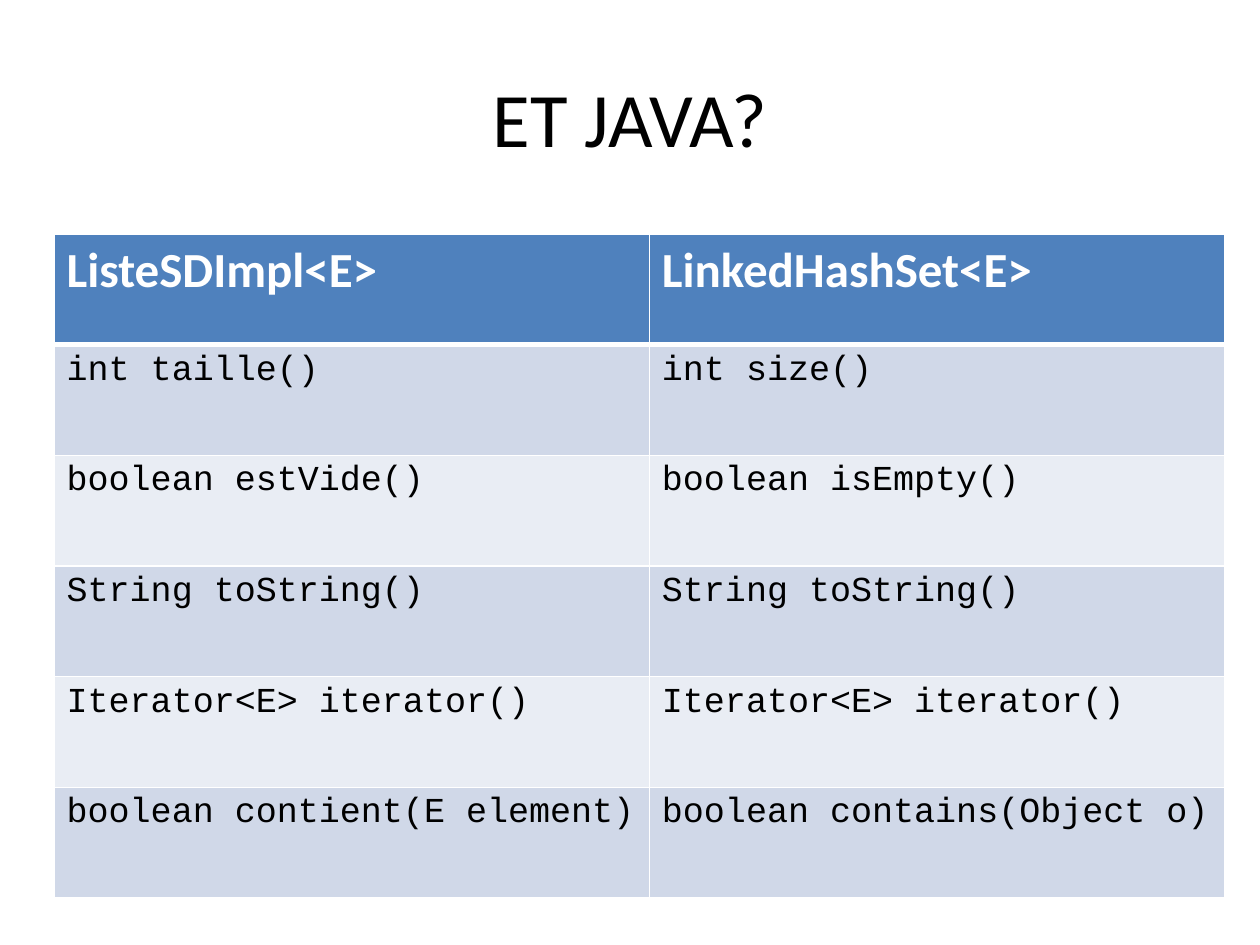
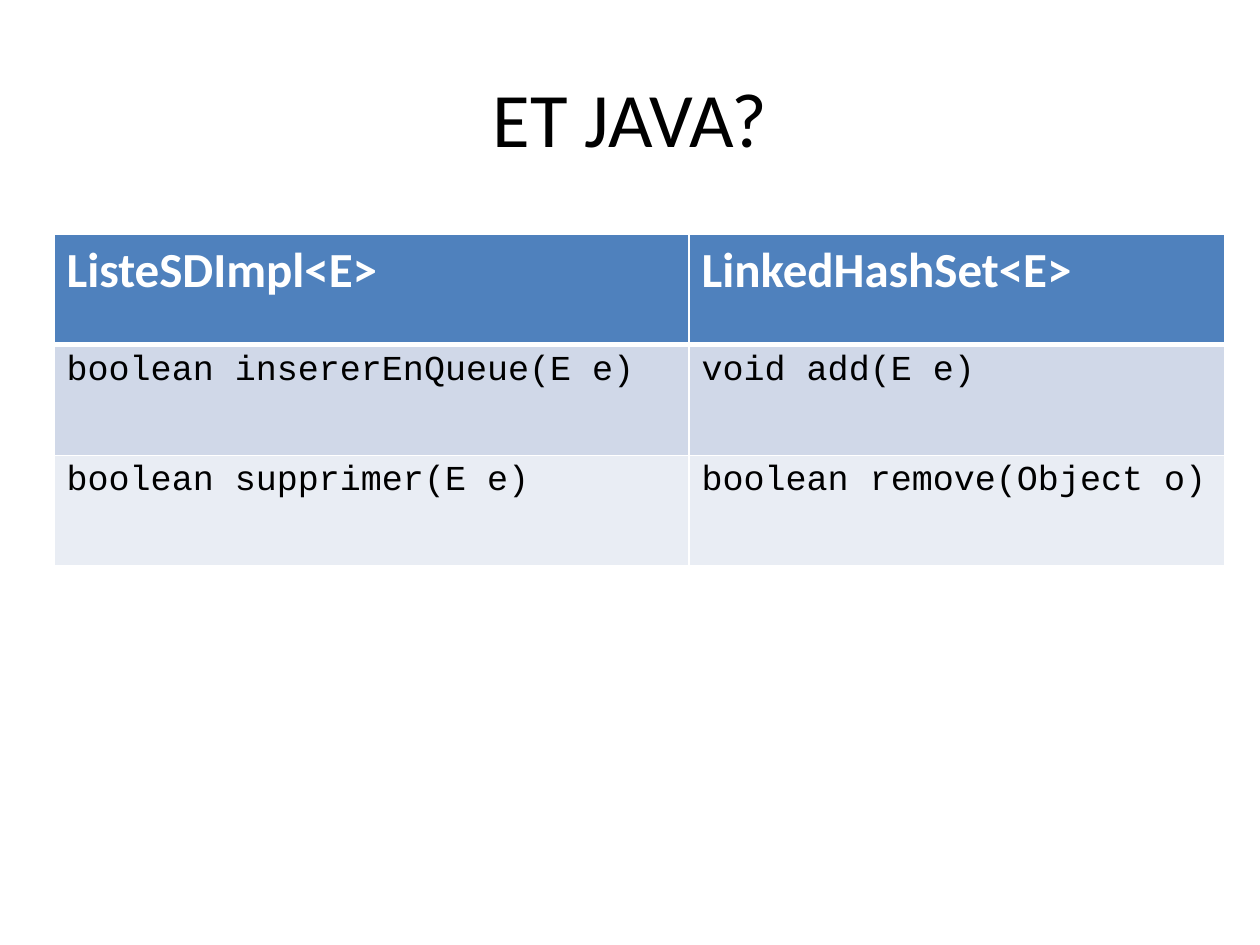
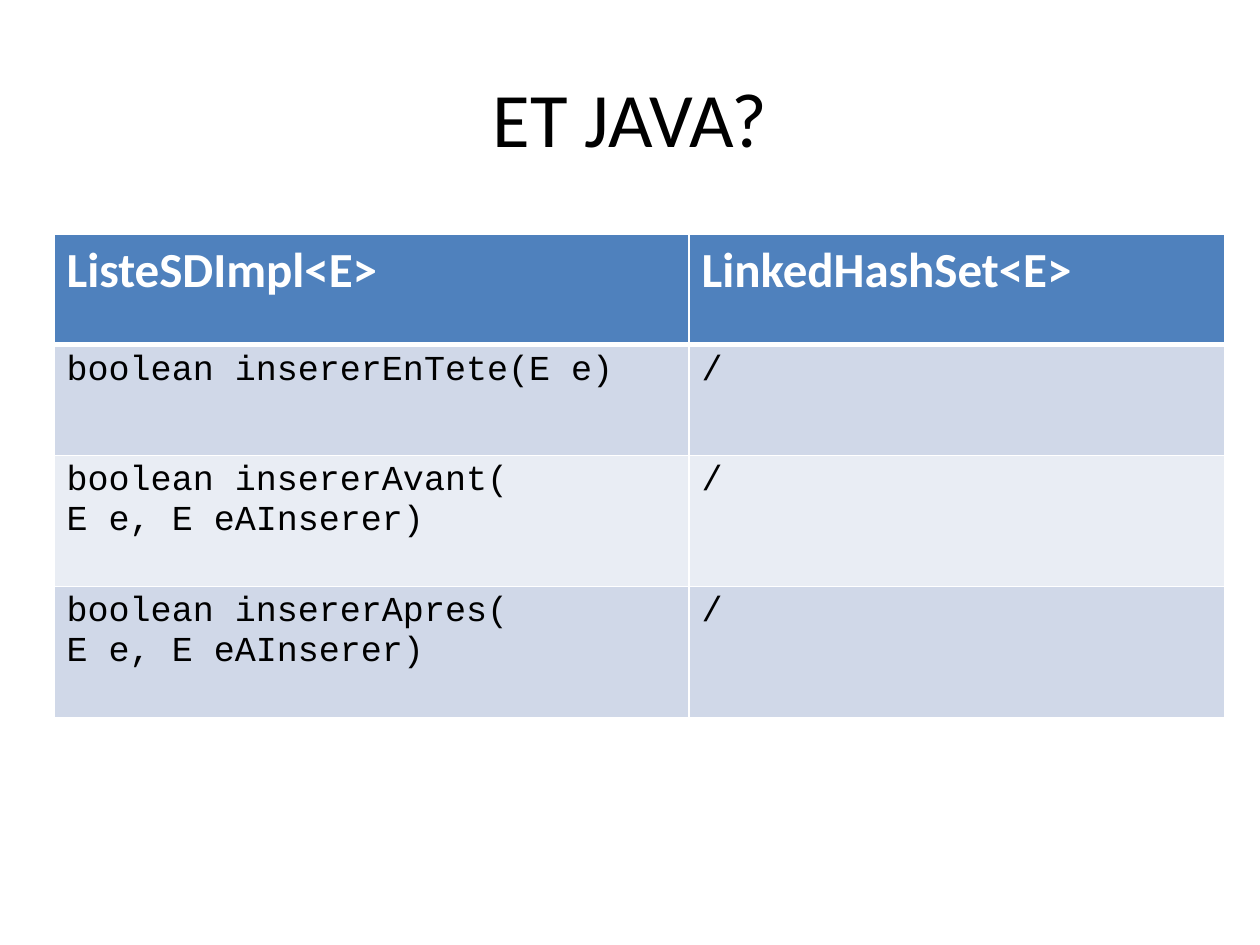
from lxml.etree import SubElement
from pptx import Presentation
from pptx.dml.color import RGBColor as RGB
from pptx.enum.text import MSO_ANCHOR as ANCHOR, PP_ALIGN as ALIGN
from pptx.oxml.ns import qn
from pptx.util import Cm, Pt

COLORS = {
    "text": "000000",
    "header": "4F81BD",
    "odd_row": "D0D8E8",
    "even_row": "E9EDF4",
    "white": "FFFFFF",
}
TITLE = "ET JAVA?"
HEADER = ("ListeSDImpl<E>", "LinkedHashSet<E>")
TABLE_LEFT, TABLE_TOP, TABLE_WIDTH = 1.09, 4.72, 23.6
ROW_HEIGHT, TWO_LINE_HEIGHT = 2.23, 2.64

# First column width and method pairs of each slide
COMPARISONS = [
    (12, [
        ("int taille()", "int size()"),
        ("boolean estVide()", "boolean isEmpty()"),
        ("String toString()", "String toString()"),
        ("Iterator<E> iterator()", "Iterator<E> iterator()"),
        ("boolean contient(E element)", "boolean contains(Object o)"),
    ]),
    (12.8, [
        ("boolean insererEnQueue(E e)", "void add(E e)"),
        ("boolean supprimer(E e)", "boolean remove(Object o)"),
    ]),
    (12.8, [
        ("boolean insererEnTete(E e)", "/"),
        ("boolean insererAvant(\nE e, E eAInserer)", "/"),
        ("boolean insererApres(\nE e, E eAInserer)", "/"),
    ]),
]


def style_text(frame, font_name, size, color, bold=False):
    for paragraph in frame.paragraphs:
        for run in paragraph.runs:
            run.font.name = font_name
            run.font.size = Pt(size)
            run.font.bold = bold
            run.font.color.rgb = RGB.from_string(COLORS[color])


def add_border(cell, side, width):
    line = SubElement(cell._tc.get_or_add_tcPr(), qn(f"a:ln{side}"), w=str(Pt(width)))
    fill = SubElement(line, qn("a:solidFill"))
    SubElement(fill, qn("a:srgbClr"), val=COLORS["white"])


prs = Presentation()
prs.slide_width, prs.slide_height = Cm(25.4), Cm(19.05)

for first_width, methods in COMPARISONS:
    slide = prs.slides.add_slide(prs.slide_layouts[6])

    # Title
    title = slide.shapes.add_textbox(Cm(1.27), Cm(0.76), Cm(22.86), Cm(3.18)).text_frame
    title.word_wrap = True
    title.vertical_anchor = ANCHOR.MIDDLE
    title.text = TITLE
    title.paragraphs[0].alignment = ALIGN.CENTER
    style_text(title, "Calibri", 44, "text")

    # Comparison table
    rows = [HEADER, *methods]
    heights = [TWO_LINE_HEIGHT if "\n" in row[0] else ROW_HEIGHT for row in rows]
    comparison = slide.shapes.add_table(
        len(rows), len(HEADER), Cm(TABLE_LEFT), Cm(TABLE_TOP),
        Cm(TABLE_WIDTH), Cm(sum(heights))).table
    comparison.columns[0].width = Cm(first_width)
    comparison.columns[1].width = Cm(TABLE_WIDTH - first_width)

    for row_no, (row, height) in enumerate(zip(rows, heights)):
        comparison.rows[row_no].height = Cm(height)
        for col_no, content in enumerate(row):
            cell = comparison.cell(row_no, col_no)
            cell.text_frame.text = content
            if row_no == 0:
                fill_color = "header"
                style_text(cell.text_frame, "Calibri", 28, "white", bold=True)
            else:
                fill_color = "odd_row" if row_no % 2 else "even_row"
                style_text(cell.text_frame, "Courier New", 20, "text")

            # Thick rule between the header and the methods
            add_border(cell, "L", 1)
            add_border(cell, "R", 1)
            add_border(cell, "T", 3 if row_no == 1 else 1)
            add_border(cell, "B", 3 if row_no == 0 else 1)
            cell.fill.solid()
            cell.fill.fore_color.rgb = RGB.from_string(COLORS[fill_color])

prs.save("out.pptx")
